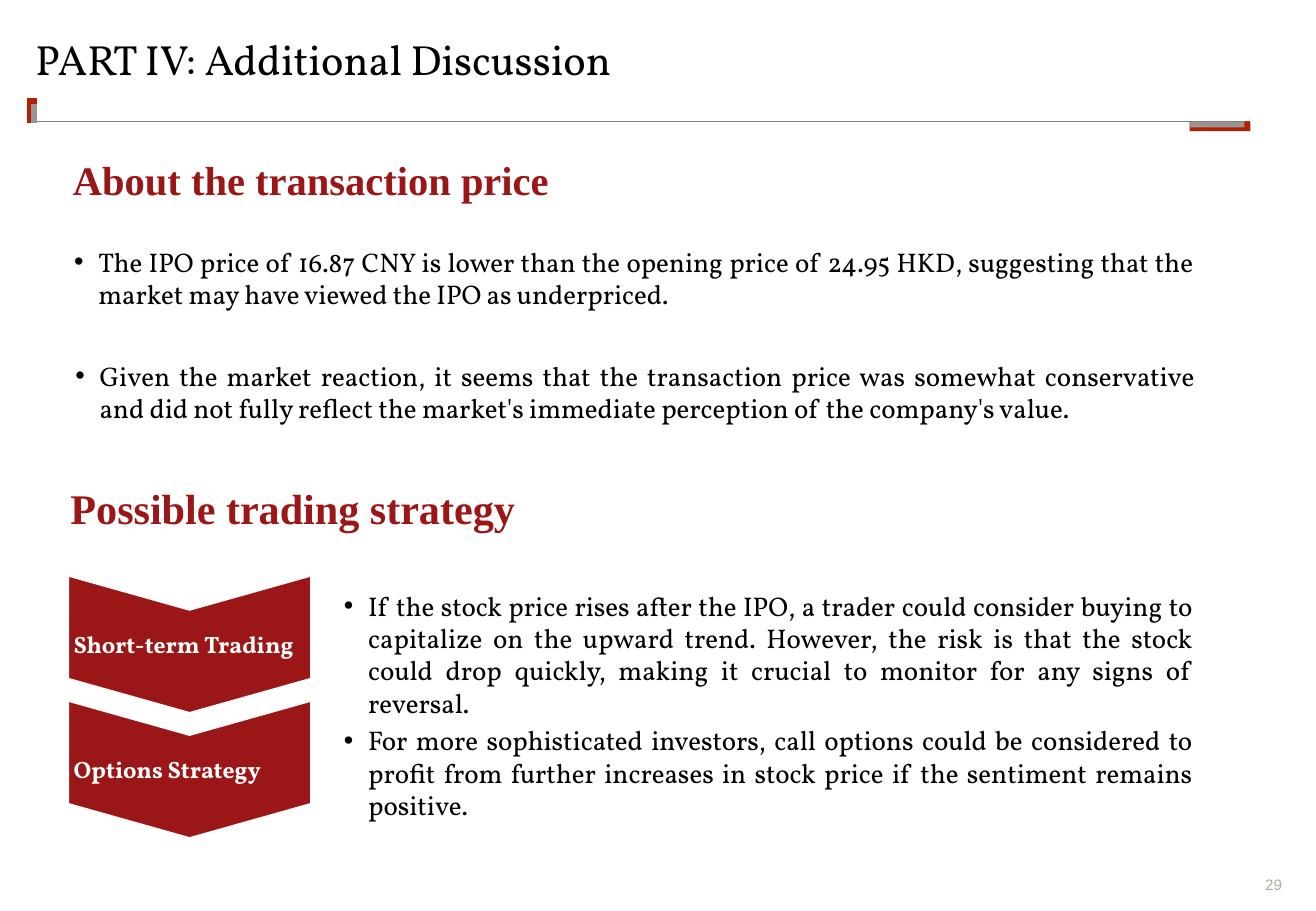
from dataclasses import dataclass, field

from lxml.etree import SubElement
from pptx import Presentation
from pptx.dml.color import RGBColor
from pptx.enum.shapes import MSO_CONNECTOR as Connector, MSO_SHAPE as Preset
from pptx.enum.text import MSO_ANCHOR as Anchor, PP_ALIGN as Align
from pptx.oxml.ns import qn
from pptx.slide import Slide
from pptx.util import Inches, Pt

COLUMNS, ROWS = 108.3, 75
WIDTH, HEIGHT = Inches(10.83), Inches(7.5)
CRIMSON, RED, SILVER, GRAY = "9B1717", "B42100", "969696", "808080"
BODY = {"name": "Vollkorn", "size": Pt(16)}
TITLE = {"name": "Vollkorn", "size": Pt(25)}
HEADING = {"name": "Times New Roman", "bold": True}
LABEL = {"name": "Vollkorn", "size": Pt(14), "bold": True}
NUMBER = {"name": "Arial", "size": Pt(9)}


@dataclass
class TextBlock:
    text: str
    column: float
    row: float
    columns: float
    rows: float
    font: dict
    color: str = "000000"
    inset: float = 0
    bullet: bool = False
    layout: dict = field(default_factory=lambda: {"line_spacing": 0.9})


@dataclass
class Rule:
    start: tuple[float, float]
    end: tuple[float, float]
    color: str
    points: float


@dataclass
class Bar:
    columns: float
    rows: float
    color: str


def across(columns: float) -> int:
    return round(WIDTH * columns / COLUMNS)


def down(rows: float) -> int:
    return round(HEIGHT * rows / ROWS)


def rgb(color: str) -> RGBColor:
    return RGBColor.from_string(color)


def set_values(target: object, values: dict) -> None:
    for name, value in values.items():
        setattr(target, name, value)


def write(shape, text: str, font: dict, color: str, layout: dict,
          inset: float, bullet: bool = False) -> None:
    frame = shape.text_frame
    margins = ("margin_left", "margin_right", "margin_top", "margin_bottom")
    set_values(frame, dict.fromkeys(margins, across(inset)))
    frame.word_wrap = True
    paragraph = frame.paragraphs[0]
    paragraph.text = text
    set_values(paragraph, layout)
    if bullet:
        properties = paragraph._p.get_or_add_pPr()
        indent = across(2)
        properties.set("marL", str(indent))
        properties.set("indent", str(-indent))
        SubElement(properties, qn("a:buFont")).set("typeface", "Arial")
        SubElement(properties, qn("a:buChar")).set("char", "•")
    set_values(paragraph.runs[0].font, font)
    paragraph.runs[0].font.color.rgb = rgb(color)


def add_text(slide: Slide, block: TextBlock) -> None:
    shape = slide.shapes.add_textbox(across(block.column), down(block.row),
                                     across(block.columns), down(block.rows))
    write(shape, block.text, block.font, block.color, block.layout,
          block.inset, block.bullet)


def add_rule(slide: Slide, rule: Rule) -> None:
    connector = slide.shapes.add_connector(
        Connector.STRAIGHT, across(rule.start[0]), down(rule.start[1]),
        across(rule.end[0]), down(rule.end[1]))
    connector.line.color.rgb = rgb(rule.color)
    connector.line.width = Pt(rule.points)
    SubElement(connector._element.spPr, qn("a:effectLst"))


def add_bar(slide: Slide, bar: Bar) -> None:
    shape = slide.shapes.add_shape(Preset.RECTANGLE, across(97.9), down(10),
                                   across(bar.columns), down(bar.rows))
    shape.shadow.inherit = False
    shape.fill.solid()
    shape.fill.fore_color.rgb = rgb(bar.color)
    shape.line.fill.background()


def add_chevron(slide: Slide, index: int, text: str) -> None:
    shape = slide.shapes.add_shape(Preset.CHEVRON, across(10), down(43.1 + 10.3 * index),
                                   across(11.2), down(19.9))
    shape.rotation = 90
    shape.adjustments[0] = 0.25
    shape.shadow.inherit = False
    shape.fill.solid()
    shape.fill.fore_color.rgb = rgb(CRIMSON)
    shape.line.color.rgb = rgb("FFFFFF")
    shape.line.width = Pt(0.5)
    write(shape, text, LABEL, "FFFFFF", {"alignment": Align.LEFT}, 0.4)
    shape.text_frame.vertical_anchor = Anchor.MIDDLE
    shape.text_frame._txBody.bodyPr.set("vert", "vert270")


def bullet_block(text: str, column: float, row: float, columns: float, rows: float) -> TextBlock:
    return TextBlock(text, column, row, columns, rows, BODY, inset=0.4, bullet=True,
                     layout={"alignment": Align.JUSTIFY})


RULES = [
    Rule((3, 10), (102.8, 10), GRAY, 1),
    Rule((2.6, 10.1), (2.6, 8.1), RED, 6),
    Rule((2.8, 10.1), (2.8, 8.6), SILVER, 3),
]
BARS = [Bar(5, 0.8, RED), Bar(4.5, 0.5, SILVER)]
STRATEGIES = ["Short-term Trading", "Options Strategy"]
TEXTS = [
    TextBlock("PART IV: Additional Discussion", 2.9, 3.2, 102.5, 6.7, TITLE),
    TextBlock("About the transaction price", 6, 13.2, 98, 6, HEADING | {"size": Pt(24)}, CRIMSON),
    TextBlock("Possible trading strategy", 5.8, 40.2, 102.5, 6.7,
              HEADING | {"size": Pt(25)}, CRIMSON),
    bullet_block("The IPO price of 16.87 CNY is lower than the opening price of 24.95 HKD, "
                 "suggesting that the market may have viewed the IPO as underpriced.",
                 5.7, 19.8, 93, 6.2),
    bullet_block("Given the market reaction, it seems that the transaction price was somewhat "
                 "conservative and did not fully reflect the market's immediate perception of "
                 "the company's value.", 5.8, 29.2, 93, 6.2),
    bullet_block("If the stock price rises after the IPO, a trader could consider buying to "
                 "capitalize on the upward trend. However, the risk is that the stock could drop "
                 "quickly, making it crucial to monitor for any signs of reversal.",
                 27.9, 48.1, 70.7, 11.6),
    bullet_block("For more sophisticated investors, call options could be considered to profit "
                 "from further increases in stock price if the sentiment remains positive.",
                 27.9, 59.2, 70.7, 8.9),
    TextBlock("29", 102.4, 72.1, 3.1, 1.5, NUMBER, "ADABA1", layout={"alignment": Align.RIGHT}),
]


def main() -> None:
    presentation = Presentation()
    set_values(presentation, {"slide_width": WIDTH, "slide_height": HEIGHT})
    slide = presentation.slides.add_slide(presentation.slide_layouts[6])
    for rule in RULES:
        add_rule(slide, rule)
    for bar in BARS:
        add_bar(slide, bar)
    for index, strategy in enumerate(STRATEGIES):
        add_chevron(slide, index, strategy)
    for block in TEXTS:
        add_text(slide, block)
    presentation.save("out.pptx")


if __name__ == "__main__":
    main()
